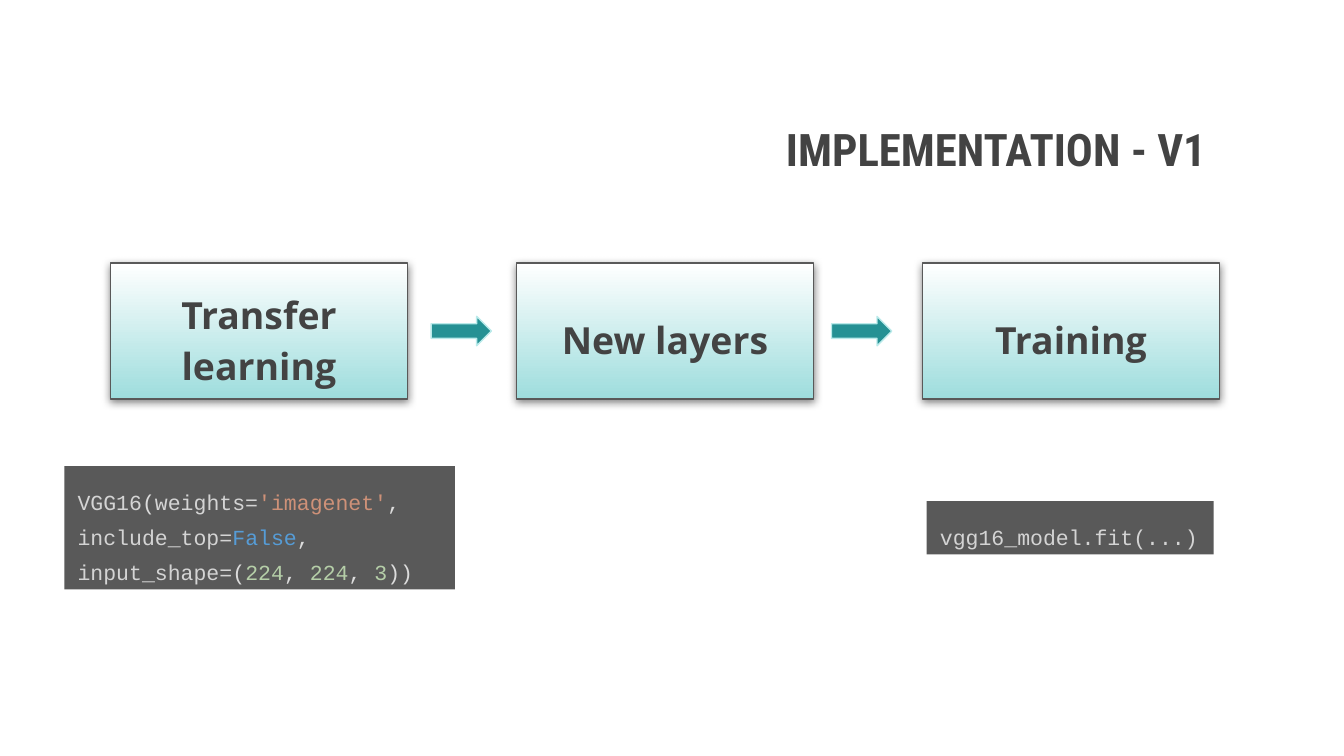
from dataclasses import dataclass

from lxml.etree import SubElement
from pptx import Presentation
from pptx.dml.color import RGBColor
from pptx.enum.shapes import MSO_SHAPE
from pptx.enum.text import MSO_ANCHOR, MSO_AUTO_SIZE, PP_ALIGN
from pptx.oxml.ns import qn
from pptx.util import Pt

EMU_PER_PX = 9525


@dataclass(frozen=True)
class Theme:
    ink: str = "434343"
    slate: str = "595959"
    card_top: str = "FFFFFF"
    card_bottom: str = "9EDDDD"
    arrow: str = "259194"
    arrow_edge: str = "BAEAEA"
    shadow: str = "000000"
    code: str = "D4D4D4"
    punctuation: str = "DCDCDC"
    string: str = "CE9178"
    keyword: str = "569CD6"
    number: str = "B5CEA8"
    title_font: str = "Roboto Condensed"
    label_font: str = "Open Sans"
    code_font: str = "Courier New"
    title_size: float = 24
    label_size: float = 20
    code_size: float = 11.5
    line_width: float = 0.75


def px(*lengths):
    return [length * EMU_PER_PX for length in lengths]


def rgb(color):
    return RGBColor.from_string(color)


class SlideBuilder:
    def __init__(self, slide, theme):
        self.slide = slide
        self.theme = theme

    def frame(self, shape, anchor=MSO_ANCHOR.TOP, auto_size=MSO_AUTO_SIZE.NONE):
        frame = shape.text_frame
        frame.word_wrap = True
        frame.auto_size = auto_size
        frame.vertical_anchor = anchor
        frame.margin_left = frame.margin_top = frame.margin_right = frame.margin_bottom = Pt(7.2)
        return frame

    def style(self, paragraph, name, size, align, color=None, bold=False):
        paragraph.alignment = align
        paragraph.font.name = name
        paragraph.font.size = Pt(size)
        paragraph.font.bold = bold
        if color:
            paragraph.font.color.rgb = rgb(color)

    def shape(self, kind, left, top, width, height):
        shape = self.slide.shapes.add_shape(kind, *px(left, top, width, height))
        shape.shadow.inherit = False
        return shape

    def outline(self, shape, color):
        shape.line.color.rgb = rgb(color)
        shape.line.width = Pt(self.theme.line_width)

    def title(self, text, left, top, width, height):
        shape = self.slide.shapes.title
        shape.left, shape.top, shape.width, shape.height = px(left, top, width, height)
        paragraph = self.frame(shape, MSO_ANCHOR.MIDDLE).paragraphs[0]
        paragraph.text = text
        self.style(paragraph, self.theme.title_font, self.theme.title_size,
                   PP_ALIGN.RIGHT, self.theme.ink, True)

    def card(self, left, top, width, height):
        card = self.shape(MSO_SHAPE.RECTANGLE, left, top, width, height)
        card.fill.gradient()
        card.fill.gradient_angle = 270
        for stop, color in zip(card.fill.gradient_stops, (self.theme.card_top, self.theme.card_bottom)):
            stop.color.rgb = rgb(color)
        self.outline(card, self.theme.slate)
        effects = card.element.spPr.find(qn("a:effectLst"))
        shadow = SubElement(effects, qn("a:outerShdw"), blurRad=str(Pt(4.5)), dist=str(Pt(1.5)),
                            dir="5400000", algn="bl", rotWithShape="0")
        color = SubElement(shadow, qn("a:srgbClr"), val=self.theme.shadow)
        SubElement(color, qn("a:alpha"), val="50000")

    def label(self, text, left, top, width, height):
        box = self.slide.shapes.add_textbox(*px(left, top, width, height))
        paragraph = self.frame(box).paragraphs[0]
        paragraph.text = text
        paragraph.line_spacing = 1.15
        paragraph.space_after = Pt(16)
        self.style(paragraph, self.theme.label_font, self.theme.label_size,
                   PP_ALIGN.CENTER, self.theme.ink, True)

    def arrow(self, left, top, width, height):
        arrow = self.shape(MSO_SHAPE.RIGHT_ARROW, left, top, width, height)
        arrow.fill.solid()
        arrow.fill.fore_color.rgb = rgb(self.theme.arrow)
        self.outline(arrow, self.theme.arrow_edge)

    def code(self, tokens, left, top, width, height):
        panel = self.shape(MSO_SHAPE.RECTANGLE, left, top, width, height)
        panel.fill.solid()
        panel.fill.fore_color.rgb = rgb(self.theme.slate)
        panel.line.fill.background()
        paragraph = self.frame(panel, auto_size=MSO_AUTO_SIZE.SHAPE_TO_FIT_TEXT).paragraphs[0]
        paragraph.line_spacing = 1.36
        self.style(paragraph, self.theme.code_font, self.theme.code_size, PP_ALIGN.LEFT)
        for text, color in tokens:
            run = paragraph.add_run()
            run.text = text
            run.font.color.rgb = rgb(color)


def main():
    presentation = Presentation()
    presentation.slide_width, presentation.slide_height = px(960, 540)
    theme = Theme()
    builder = SlideBuilder(presentation.slides.add_slide(presentation.slide_layouts[5]), theme)

    builder.title("IMPLEMENTATION - V1", 427, 81, 444, 50)

    first_left, pitch = 79, 290
    card_top, card_width, card_height = 188, 212, 97
    steps = (("Transfer learning", 86), ("New layers", 50), ("Training", 50))
    for index, (text, label_height) in enumerate(steps):
        left = first_left + index * pitch
        builder.card(left, card_top, card_width, card_height)
        label_top = card_top + (card_height - label_height + 1) // 2
        builder.label(text, left, label_top, card_width, label_height)

    for left in (308, 594):
        builder.arrow(left, 226, 43, 21)

    load_model = (
        ("VGG16", theme.code), ("(", theme.punctuation),
        ("weights=", theme.code), ("'imagenet'", theme.string), (",", theme.punctuation),
        (" include_top=", theme.code), ("False", theme.keyword), (",", theme.punctuation),
        (" input_shape=", theme.code), ("(", theme.punctuation),
        ("224", theme.number), (", ", theme.punctuation),
        ("224", theme.number), (", ", theme.punctuation),
        ("3", theme.number), ("))", theme.punctuation),
    )
    builder.code(load_model, 46, 333, 279, 88)
    builder.code([("vgg16_model.fit(...)", theme.code)], 662, 358, 205, 38)

    presentation.save("out.pptx")


if __name__ == "__main__":
    main()
